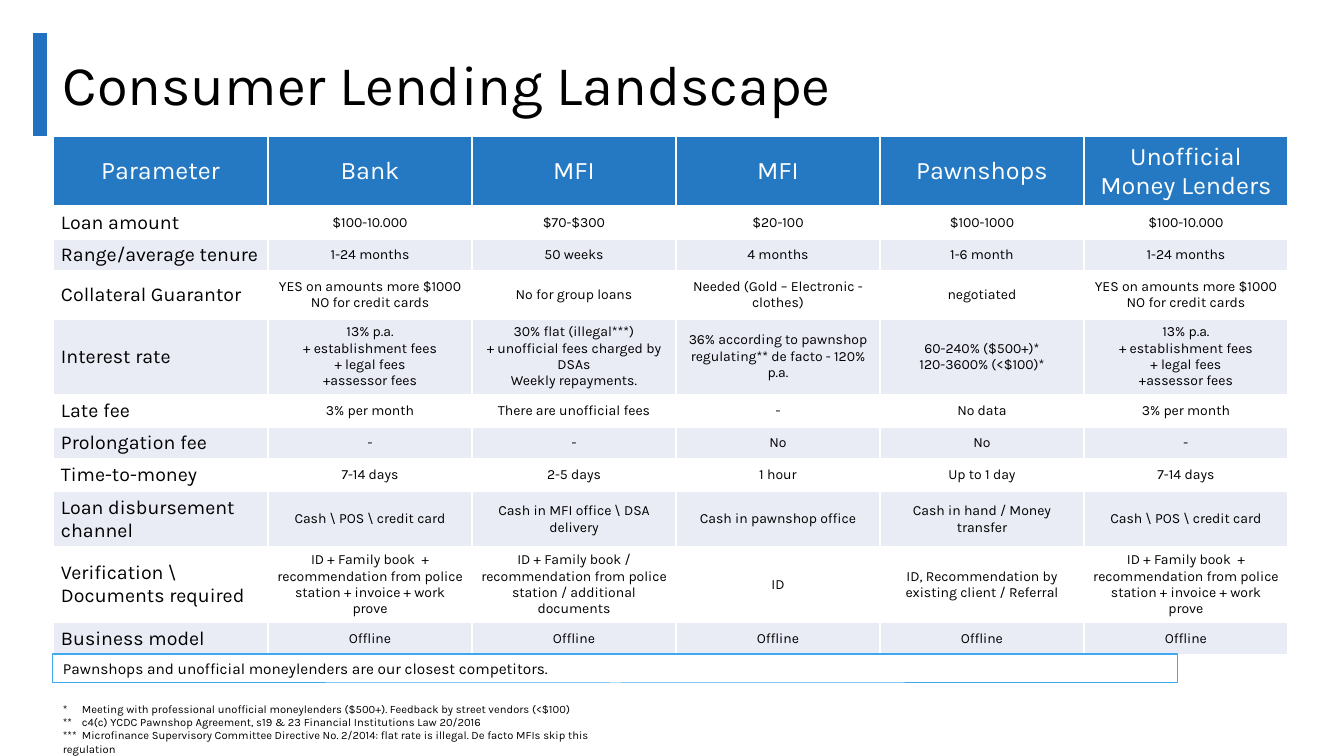
from lxml.etree import SubElement
from pptx import Presentation
from pptx.dml.color import RGBColor
from pptx.enum.shapes import MSO_CONNECTOR as CONN, MSO_SHAPE as SHAPE
from pptx.enum.text import MSO_ANCHOR as ANCHOR, PP_ALIGN as ALIGN
from pptx.oxml.ns import qn
from pptx.util import Emu, Pt

TITLE = "Consumer Lending Landscape"
HEADER = ["Parameter", "Bank", "MFI", "MFI", "Pawnshops", "Unofficial Money Lenders"]
FEES = "13% p.a.\n+ establishment fees\n+ legal fees\n+assessor fees"
CARDS = "YES on amounts more $1000\nNO for credit cards"
PROOF = "ID + Family book  + recommendation from police station + invoice + work prove"
ROWS = [
    (32, ["Loan amount", "$100-10.000", "$70-$300", "$20-100", "$100-1000", "$100-10.000"]),
    (32, ["Range/average tenure", "1-24 months", "50 weeks", "4 months", "1-6 month", "1-24 months"]),
    (48, ["Collateral Guarantor", CARDS, "No for group loans",
          "Needed (Gold – Electronic - clothes)", "negotiated", CARDS]),
    (74, ["Interest rate", FEES,
          "30% flat (illegal***)\n+ unofficial fees charged by DSAs\nWeekly repayments.",
          "36% according to pawnshop regulating** de facto - 120% p.a.",
          "60-240% ($500+)*\n120-3600% (<$100)*", FEES]),
    (33, ["Late fee", "3% per month", "There are unofficial fees", "-", "No data", "3% per month"]),
    (30, ["Prolongation fee", "-", "-", "No", "No", "-"]),
    (33, ["Time-to-money", "7-14 days", "2-5 days", "1 hour", "Up to 1 day", "7-14 days"]),
    (53, ["Loan disbursement channel", "Cash \\ POS \\ credit card",
          "Cash in MFI office \\ DSA delivery", "Cash in pawnshop office",
          "Cash in hand / Money transfer", "Cash \\ POS \\ credit card"]),
    (76, ["Verification \\\nDocuments required", PROOF,
          "ID + Family book / recommendation from police station / additional documents",
          "ID", "ID, Recommendation by existing client / Referral", PROOF]),
    (31, ["Business model"] + ["Offline"] * 5),
]
TAKEAWAY = "Pawnshops and unofficial moneylenders are our closest competitors."
FOOTNOTES = [
    ("*", "Meeting with professional unofficial moneylenders ($500+). Feedback by street vendors (<$100)"),
    ("**", "c4(c) YCDC Pawnshop Agreement, s19 & 23 Financial Institutions Law 20/2016"),
    ("***", "Microfinance Supervisory Committee Directive No. 2/2014: flat rate is illegal. "
            "De facto MFIs skip this regulation"),
]
THEME = dict(font="Karla", ink="000000", white="FFFFFF", band="E9EBF5", head="2579C3",
             bar="2072C1", edge="40A8EE",
             title=40, header=18, label=14, takeaway=11, value=10, footnote=8)
LEFT, TABLE_TOP, HEADER_H, LABEL_W, VALUE_W = 53, 136, 71, 215, 204
SCALE = 914400 / 100.8


def px(n):
    return Emu(round(n * SCALE))


def rgb(name):
    return RGBColor.from_string(THEME[name])


def set_attrs(obj, values):
    for name, value in values.items():
        setattr(obj, name, value)


def write(tf, text, size, color="ink", align=ALIGN.LEFT, tab=None):
    tf.word_wrap = True
    for i, line in enumerate(text.split("\n")):
        p = tf.paragraphs[0] if i == 0 else tf.add_paragraph()
        p.alignment = align
        if tab:
            tabs = SubElement(p._p.get_or_add_pPr(), qn("a:tabLst"))
            SubElement(tabs, qn("a:tab"), pos=str(px(tab)), algn="l")
        r = p.add_run()
        r.text = line
        set_attrs(r.font, dict(name=THEME["font"], size=Pt(THEME[size]), bold=False))
        r.font.color.rgb = rgb(color)


def add_borders(cell, bottom):
    tcPr = cell._tc.get_or_add_tcPr()
    for i, (side, width) in enumerate([("lnL", 1), ("lnR", 1), ("lnT", 1), ("lnB", bottom)]):
        ln = tcPr.makeelement(qn("a:" + side), {"w": str(Pt(width))})
        fill = SubElement(ln, qn("a:solidFill"))
        SubElement(fill, qn("a:srgbClr"), val=THEME["white"])
        tcPr.insert(i, ln)


def fill_cell(cell, text, fill, size, color, align, bottom=1):
    write(cell.text_frame, text, size, color, align)
    cell.vertical_anchor = ANCHOR.MIDDLE
    cell.fill.solid()
    cell.fill.fore_color.rgb = rgb(fill)
    add_borders(cell, bottom)


def add_lending_table(s):
    heights = [HEADER_H] + [h for h, _ in ROWS]
    widths = [LABEL_W] + [VALUE_W] * (len(HEADER) - 1)
    table = s.shapes.add_table(len(heights), len(widths), px(LEFT), px(TABLE_TOP),
                               px(sum(widths)), px(sum(heights))).table
    table.horz_banding = False
    for col, w in zip(table.columns, widths):
        col.width = px(w)
    for row, h in zip(table.rows, heights):
        row.height = px(h)
    for c, text in enumerate(HEADER):
        fill_cell(table.cell(0, c), text, "head", "header", "white", ALIGN.CENTER, bottom=3)
    insets = dict(margin_left=px(8), margin_right=px(8), margin_top=px(4), margin_bottom=px(4))
    for r, (_, texts) in enumerate(ROWS, 1):
        for c, text in enumerate(texts):
            cell = table.cell(r, c)
            size, align = ("value", ALIGN.CENTER) if c else ("label", ALIGN.LEFT)
            fill_cell(cell, text, "white" if r % 2 else "band", size, "ink", align)
            set_attrs(cell, insets)


def main():
    prs = Presentation()
    set_attrs(prs, dict(slide_width=px(1344), slide_height=px(756)))
    s = prs.slides.add_slide(prs.slide_layouts[6])

    bar = s.shapes.add_connector(CONN.STRAIGHT, px(40), px(33), px(40), px(136))
    bar.line.color.rgb = rgb("bar")
    bar.line.width = Pt(9.75)
    SubElement(bar._element.spPr, qn("a:effectLst"))

    title = s.shapes.add_textbox(px(LEFT), px(45), px(1197), px(78))
    write(title.text_frame, TITLE, "title")

    add_lending_table(s)

    takeaway = s.shapes.add_shape(SHAPE.RECTANGLE, px(LEFT), px(654), px(1125), px(29))
    takeaway.shadow.inherit = False
    takeaway.fill.solid()
    takeaway.fill.fore_color.rgb = rgb("white")
    takeaway.line.color.rgb = rgb("edge")
    takeaway.line.width = Pt(0.75)
    takeaway.text_frame.vertical_anchor = ANCHOR.MIDDLE
    write(takeaway.text_frame, TAKEAWAY, "takeaway")

    notes = s.shapes.add_textbox(px(LEFT), px(697), px(557), px(50))
    write(notes.text_frame, "\n".join("\t".join(n) for n in FOOTNOTES), "footnote", tab=19)

    prs.save("out.pptx")


if __name__ == "__main__":
    main()
